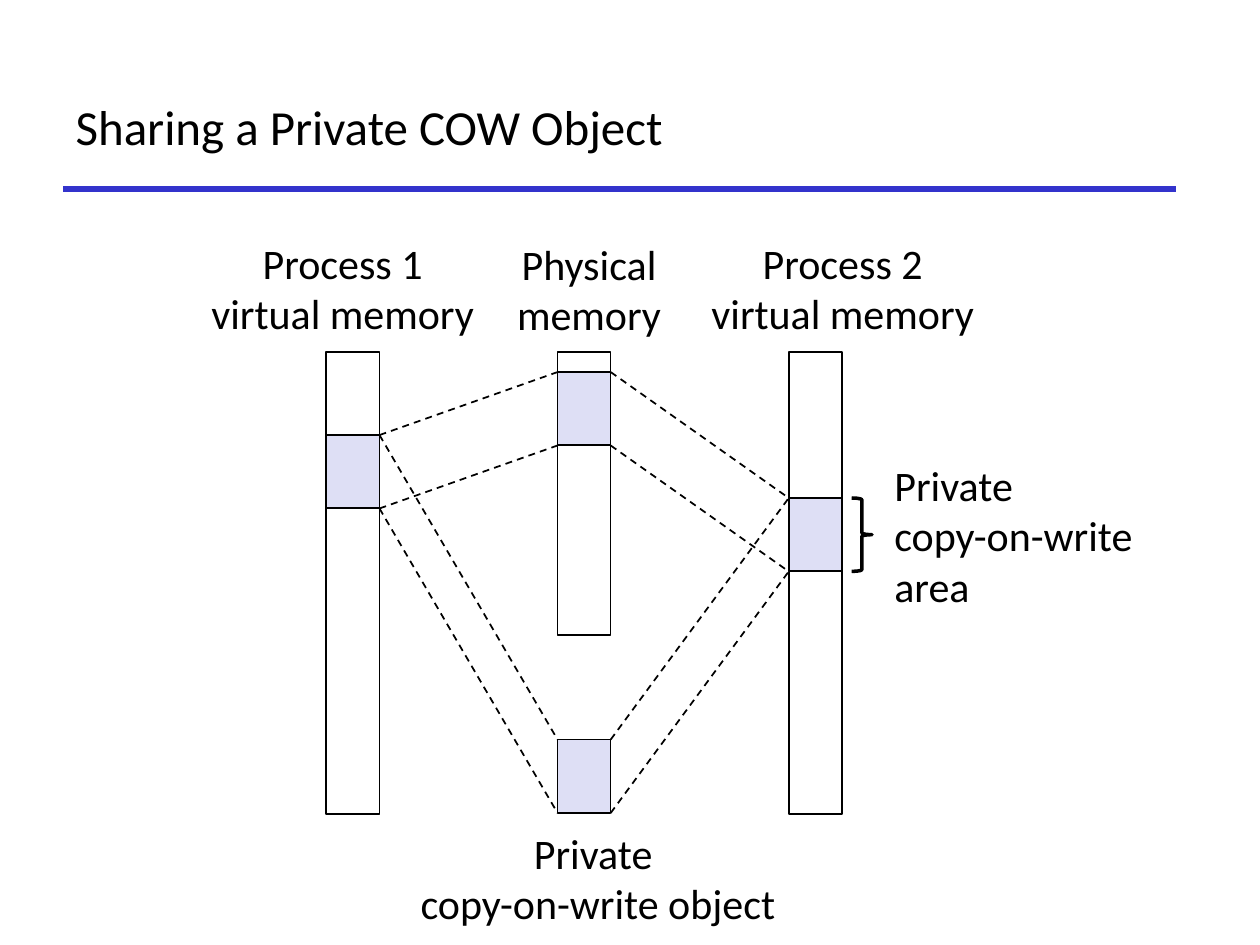
import pptx
import pptx.dml.color
import pptx.enum.dml
import pptx.enum.shapes
import pptx.enum.text
import pptx.oxml.ns
import pptx.util
from lxml import etree

Cm, Pt = pptx.util.Cm, pptx.util.Pt
RGBColor = pptx.dml.color.RGBColor
SHAPE = pptx.enum.shapes.MSO_SHAPE
ALIGN = pptx.enum.text.PP_ALIGN

BLACK = RGBColor(0x00, 0x00, 0x00)
RULE_BLUE = RGBColor(0x33, 0x33, 0xCC)
AREA_LILAC = RGBColor(0xDE, 0xDF, 0xF5)
FONT = "Calibri"

# Content, lengths in cm
TITLE = "Sharing a Private COW Object"
COLUMN_WIDTH, AREA_HEIGHT = 1.07, 1.48
COLUMN_TOP = 7.09
PROCESS_1_X, PHYSICAL_X, PROCESS_2_X = (6.58 + 4.66 * i for i in range(3))
MEMORIES = [  # left, height
    (PHYSICAL_X, 5.72),
    (PROCESS_1_X, 9.32),
    (PROCESS_2_X, 9.32),
]
AREAS = {  # left, top
    "object": (PHYSICAL_X, 14.91),
    "physical": (PHYSICAL_X, 7.5),
    "process 1": (PROCESS_1_X, 8.77),
    "process 2": (PROCESS_2_X, 10.04),
}
MAPPINGS = [  # left area, right area
    ("process 1", "object"),
    ("object", "process 2"),
    ("process 1", "physical"),
    ("physical", "process 2"),
]
LABELS = [  # lines, left, top, width, height, alignment
    (["Process 1", "virtual memory"], 3.76, 4.65, 6.3, 2.31, ALIGN.CENTER),
    (["Physical", "memory"], 10.01, 4.67, 3.73, 2.31, ALIGN.CENTER),
    (["Process 2", "virtual memory"], 13.84, 4.65, 6.3, 2.31, ALIGN.CENTER),
    (["Private ", "copy-on-write object"], 7.98, 16.54, 8.15, 2.31, ALIGN.CENTER),
    (["Private", "copy-on-write", "area"], 17.78, 9.12, 5.61, 3.33, ALIGN.LEFT),
]

prs = pptx.Presentation()
prs.slide_width, prs.slide_height = Cm(25.4), Cm(19.05)
slide = prs.slides.add_slide(prs.slide_layouts[5])


def add_run(paragraph, text, size):
    run = paragraph.add_run()
    run.text = text
    run.font.name, run.font.size = FONT, Pt(size)
    run.font.color.rgb = BLACK


def add_outline(kind, left, top, width, height, fill=None, weight=1):
    shape = slide.shapes.add_shape(kind, Cm(left), Cm(top), Cm(width), Cm(height))
    shape.shadow.inherit = False
    if fill is None:
        shape.fill.background()
    else:
        shape.fill.solid()
        shape.fill.fore_color.rgb = fill
    shape.line.color.rgb, shape.line.width = BLACK, Pt(weight)


def add_line(x1, y1, x2, y2, color=BLACK, weight=1, dashed=False):
    line = slide.shapes.add_connector(
        pptx.enum.shapes.MSO_CONNECTOR.STRAIGHT, Cm(x1), Cm(y1), Cm(x2), Cm(y2))
    line.line.color.rgb, line.line.width = color, Pt(weight)
    if dashed:
        line.line.dash_style = pptx.enum.dml.MSO_LINE.DASH
    etree.SubElement(line._element.spPr, pptx.oxml.ns.qn("a:effectLst"))


# Title and rule
title = slide.shapes.title
title.left, title.top, title.width, title.height = Cm(1.27), Cm(1.27), Cm(22.43), Cm(2.54)
title.text_frame.vertical_anchor = pptx.enum.text.MSO_ANCHOR.MIDDLE
heading = title.text_frame.paragraphs[0]
heading.alignment = ALIGN.LEFT
add_run(heading, TITLE, 28)
add_line(1.27, 3.81, 23.7, 3.81, RULE_BLUE, 3)

# Memory columns and the shared areas in them
for left, height in MEMORIES:
    add_outline(SHAPE.RECTANGLE, left, COLUMN_TOP, COLUMN_WIDTH, height)
for left, top in AREAS.values():
    add_outline(SHAPE.RECTANGLE, left, top, COLUMN_WIDTH, AREA_HEIGHT, AREA_LILAC)

# Each mapping joins the top and bottom edges of two areas
for source, target in MAPPINGS:
    (x1, y1), (x2, y2) = AREAS[source], AREAS[target]
    for offset in (0, AREA_HEIGHT):
        add_line(x1 + COLUMN_WIDTH, y1 + offset, x2, y2 + offset, dashed=True)

# Brace beside the area of process 2
add_outline(SHAPE.RIGHT_BRACE, 17.17, AREAS["process 2"][1], 0.41, AREA_HEIGHT, weight=2)

# Labels
for lines, left, top, width, height, alignment in LABELS:
    label = slide.shapes.add_textbox(Cm(left), Cm(top), Cm(width), Cm(height)).text_frame
    label.word_wrap = False
    label.vertical_anchor = pptx.enum.text.MSO_ANCHOR.MIDDLE
    for i, text in enumerate(lines):
        paragraph = label.add_paragraph() if i else label.paragraphs[0]
        paragraph.alignment = alignment
        add_run(paragraph, text, 24)

prs.save("out.pptx")
